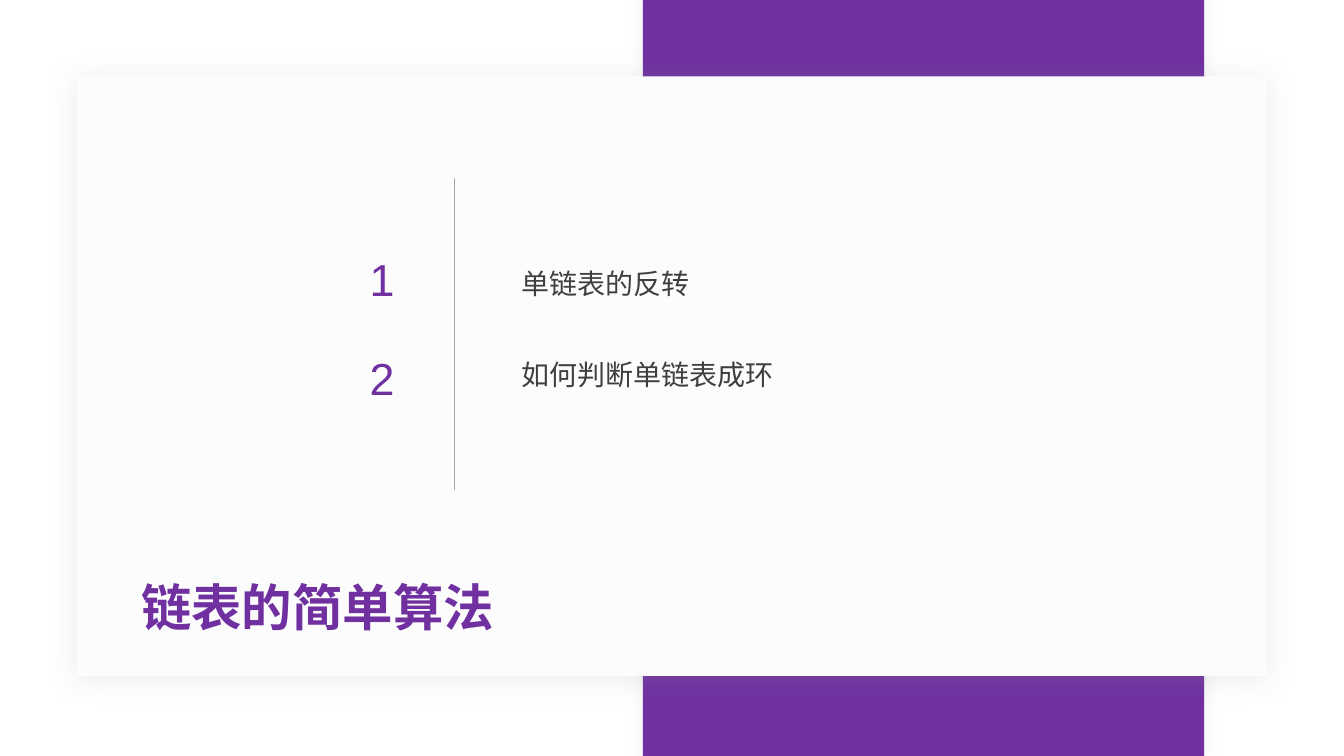
from dataclasses import dataclass

from lxml import etree
from pptx import Presentation
from pptx.dml.color import RGBColor
from pptx.enum.shapes import MSO_CONNECTOR, MSO_SHAPE
from pptx.enum.text import MSO_ANCHOR, MSO_AUTO_SIZE, PP_ALIGN
from pptx.oxml.ns import qn
from pptx.util import Pt

RECTANGLE = MSO_SHAPE.RECTANGLE
STRAIGHT = MSO_CONNECTOR.STRAIGHT
TOP = MSO_ANCHOR.TOP
MIDDLE = MSO_ANCHOR.MIDDLE
NO_FIT = MSO_AUTO_SIZE.NONE
LEFT = PP_ALIGN.LEFT
CENTER = PP_ALIGN.CENTER


@dataclass(frozen=True)
class Theme:
    accent: str = "7030A0"
    card: str = "FCFCFD"
    ink: str = "3F403E"
    rule: str = "262626"
    band_shadow: str = "D5D7D5"
    card_shadow: str = "969F98"
    latin_font: str = "Arial"
    cjk_font: str = "Noto Sans CJK SC"
    title_size: int = 36
    number_size: int = 32
    item_size: int = 20


THEME = Theme()
SLIDE_WIDTH, SLIDE_HEIGHT = 960, 540
ITEMS = ["单链表的反转", "如何判断单链表成环"]
ITEM_PITCH = 70.56
ITEM_LINE = 34.75


def place(part, box):
    part.left, part.top, part.width, part.height = map(Pt, box)


def style(paragraph, size, color, font, bold=False):
    for run in paragraph.runs:
        run.font.size = Pt(size)
        run.font.bold = bold
        run.font.name = font
        run.font.color.rgb = RGBColor.from_string(color)
        east_asian = etree.SubElement(run.font._element, qn("a:ea"))
        east_asian.set("typeface", font)


def set_alpha(color_element, percent):
    alpha = etree.SubElement(color_element, qn("a:alpha"))
    alpha.set("val", str(percent * 1000))


def add_panel(slide, box, fill, shadow_color, opacity, blur, distance, angle):
    panel = slide.shapes.add_shape(RECTANGLE, *map(Pt, box))
    panel.fill.solid()
    panel.fill.fore_color.rgb = RGBColor.from_string(fill)
    panel.line.fill.background()
    panel.shadow.inherit = False
    effects = panel._element.spPr.find(qn("a:effectLst"))
    shadow = etree.SubElement(effects, qn("a:outerShdw"))
    shadow.set("blurRad", str(Pt(blur)))
    shadow.set("dist", str(Pt(distance)))
    shadow.set("dir", str(angle * 60000))
    shadow.set("algn", "ctr")
    shadow.set("rotWithShape", "0")
    color = etree.SubElement(shadow, qn("a:srgbClr"))
    color.set("val", shadow_color)
    set_alpha(color, opacity)
    return panel


def draw_backdrop(slide, band_box, card_box):
    band = add_panel(slide, band_box, THEME.accent, THEME.band_shadow, 40, 10, 0, 0)
    card = add_panel(slide, card_box, THEME.card, THEME.card_shadow, 20, 20, 3, 90)
    tree = slide.shapes._spTree
    for depth, panel in enumerate((band, card), start=2):
        tree.insert(depth, panel._element)


def draw_title(slide, box):
    title = slide.shapes.title
    place(title, box)
    frame = title.text_frame
    frame.text = "链表的简单算法"
    frame.vertical_anchor = MIDDLE
    frame.auto_size = NO_FIT
    frame.paragraphs[0].alignment = LEFT
    style(frame.paragraphs[0], THEME.title_size, THEME.accent, THEME.latin_font, True)


def draw_number(slide, box, number):
    label = slide.shapes.add_textbox(*map(Pt, box))
    frame = label.text_frame
    frame.word_wrap = False
    frame.text = str(number)
    paragraph = frame.paragraphs[0]
    paragraph.alignment = CENTER
    style(paragraph, THEME.number_size, THEME.accent, THEME.latin_font)
    paragraph.runs[0].font._element.set("spc", "-300")


def draw_rule(slide, x, top, bottom):
    rule = slide.shapes.add_connector(STRAIGHT, Pt(x), Pt(bottom), Pt(x), Pt(top))
    rule.line.width = Pt(0.5)
    rule.line.color.rgb = RGBColor.from_string(THEME.rule)
    properties = rule._element.spPr
    set_alpha(properties.find(".//" + qn("a:srgbClr")), 40)
    etree.SubElement(properties, qn("a:effectLst"))


def draw_agenda(slide, box):
    left, top, width, height = box
    items = slide.placeholders[1]
    place(items, (left + 108, top + 54.7, width - 108, 2 * ITEM_PITCH))
    frame = items.text_frame
    frame.text = "\n".join(ITEMS)
    frame.vertical_anchor = TOP
    frame.auto_size = NO_FIT
    for index, paragraph in enumerate(frame.paragraphs):
        paragraph.line_spacing = 1.2
        paragraph.space_before = Pt(0)
        paragraph.space_after = Pt(ITEM_PITCH - ITEM_LINE)
        properties = paragraph._p.get_or_add_pPr()
        properties.set("marL", "0")
        properties.set("indent", "0")
        etree.SubElement(properties, qn("a:buNone"))
        style(paragraph, THEME.item_size, THEME.ink, THEME.cjk_font)
        number_top = top + 49 + index * ITEM_PITCH
        draw_number(slide, (left, number_top, 28, 46), index + 1)
    draw_rule(slide, left + 67.7, top, top + height)


def main():
    deck = Presentation()
    deck.slide_width, deck.slide_height = Pt(SLIDE_WIDTH), Pt(SLIDE_HEIGHT)
    slide = deck.slides.add_slide(deck.slide_layouts[1])
    draw_backdrop(slide, (459.2, 0, 401, SLIDE_HEIGHT), (54.8, 54.6, 850.3, 428.2))
    draw_title(slide, (93.6, 407.5, 372.2, 51.1))
    draw_agenda(slide, (257, 127.5, 519.9, 222.5))
    deck.save("out.pptx")


if __name__ == "__main__":
    main()
